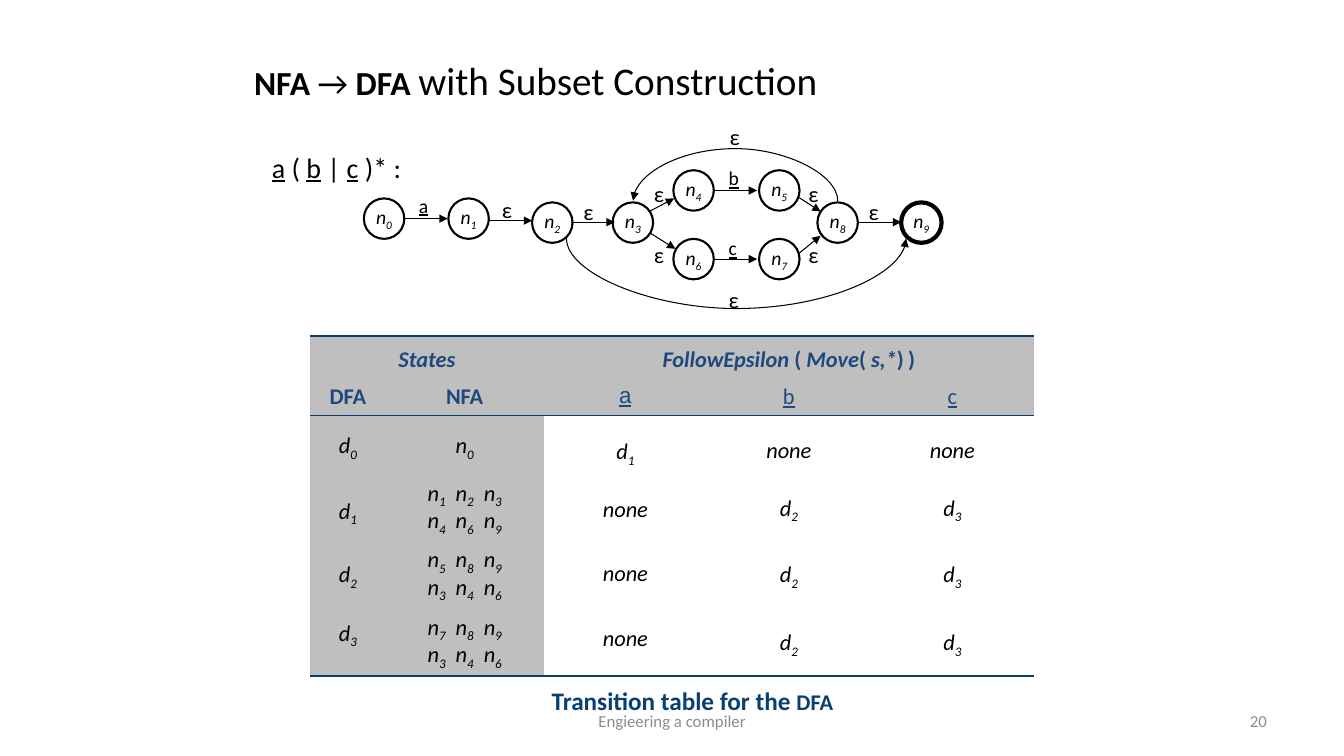
from lxml import etree
from pptx import Presentation
from pptx import util as u
from pptx.dml import color
from pptx.enum import shapes, text
from pptx.oxml import ns

BLACK, NAVY, TEAL = "000000", "1F497D", "074073"
GREY, WHITE, FOOTER_GREY = "BFBFBF", "FFFFFF", "8C8C8C"
LEFT, CENTER, RIGHT = text.PP_ALIGN.LEFT, text.PP_ALIGN.CENTER, text.PP_ALIGN.RIGHT
NO_STYLE = "{2D5ABB26-0587-4C30-8999-92F81FD0307C}"
NODE_SIZE = 1.02
THIN = 0.75

NODES = [
    ("n_0", 9.17, 5.0), ("n_1", 11.3, 5.0), ("n_2", 13.41, 5.1),
    ("n_3", 15.44, 5.1), ("n_4", 16.97, 4.29), ("n_5", 19.13, 4.29),
    ("n_6", 16.97, 6.02), ("n_7", 19.13, 6.02), ("n_8", 20.6, 5.1),
    ("n_9", 22.71, 5.1),
]
EDGES = [
    (10.16, 5.51, 11.28, 5.51), (12.32, 5.56, 13.41, 5.56),
    (14.38, 5.6, 15.49, 5.6), (21.59, 5.6, 22.71, 5.6),
    (17.98, 4.8, 19.08, 4.8), (17.98, 6.53, 19.08, 6.53),
    (16.36, 5.33, 16.99, 5.0), (16.38, 5.87, 17.02, 6.27),
    (20.14, 4.98, 20.68, 5.33), (20.14, 6.38, 20.68, 5.94),
]
EDGE_LABELS = [
    ("a", 10.31, 4.75), ("b", 18.11, 4.06), ("c", 18.11, 5.82),
    ("ε", 12.4, 4.83), ("ε", 14.45, 4.88), ("ε", 21.64, 4.88),
    ("ε", 16.23, 4.42), ("ε", 20.12, 4.42), ("ε", 16.23, 5.94),
    ("ε", 20.12, 5.94), ("ε", 18.11, 7.09), ("ε", 18.14, 2.97),
]
COLUMN_WIDTHS = [1.9, 3.98, 4.12, 4.12, 4.12]
ROW_HEIGHTS = [1.07, 0.84, 1.5, 1.68, 1.7, 1.7]
MOVE_HEADING = [("FollowEpsilon ", "bi"), ("( ", "b"), ("Move", "bi"), ("( ", "b"),
                ("s,*", "bi"), (")", "b"), (" ", "b", 14), (")", "b")]
SUBHEADINGS = [("DFA", "b"), ("NFA", "b"), ("a", "u"), ("b", "u"), ("c", "u")]
TRANSITIONS = [
    [("d_0", 1.4), ("n_0", 1.4), ("d_1", 1.6), ("none", 1.6), ("none", 1.6)],
    [("d_1", 1.6), ("n_1 n_2 n_3\nn_4 n_6 n_9", 0.9), ("none", 1.6), ("d_2", 1.5), ("d_3", 1.5)],
    [("d_2", 1.5), ("n_5 n_8 n_9\nn_3 n_4 n_6", 0.9), ("none", 1.5), ("d_2", 1.5), ("d_3", 1.5)],
    [("d_3", 1.2), ("n_7 n_8 n_9\nn_3 n_4 n_6", 0.9), ("none", 1.4), ("d_2", 1.5), ("d_3", 1.5)],
]


def rgb(hex_code):
    """Turn a hex string into a colour."""
    return color.RGBColor.from_string(hex_code)


def write_runs(paragraph, parts, size, ink=BLACK, align=LEFT, face="Calibri"):
    """Append (wording, b/i/u flags, optional size) runs to a paragraph."""
    paragraph.alignment = align
    for wording, flags, *own_size in parts:
        run = paragraph.add_run()
        run.text = wording
        run.font.name = face
        run.font.size = u.Pt(own_size[0] if own_size else size)
        run.font.color.rgb = rgb(ink)
        run.font.bold = "b" in flags
        run.font.italic = "i" in flags
        run.font.underline = "u" in flags


def write_states(paragraph, states, size):
    """Write italic state names whose index after _ is a subscript."""
    for position, state in enumerate(states.split(" ")):
        if position:
            write_runs(paragraph, [(" ", "i")], size)
            paragraph.runs[-1].font._element.set("spc", "360")
        letter, _, index = state.partition("_")
        write_runs(paragraph, [(letter, "i")], size)
        if index:
            write_runs(paragraph, [(index, "i")], size)
            paragraph.runs[-1].font._element.set("baseline", "-25000")
    paragraph.alignment = CENTER


def add_label(slide, box, parts, size, ink=BLACK, align=LEFT, wrap=True,
              anchor=text.MSO_ANCHOR.TOP):
    """Add a one-paragraph text box."""
    frame = slide.shapes.add_textbox(*map(u.Cm, box)).text_frame
    frame.word_wrap = wrap
    frame.vertical_anchor = anchor
    write_runs(frame.paragraphs[0], parts, size, ink, align)


def add_node(slide, state, left, top, width=1.5):
    """Add one automaton state as a circle."""
    node = slide.shapes.add_shape(shapes.MSO_SHAPE.OVAL, u.Cm(left), u.Cm(top),
                                  u.Cm(NODE_SIZE), u.Cm(NODE_SIZE))
    node.shadow.inherit = False
    node.fill.background()
    node.line.color.rgb = rgb(BLACK)
    node.line.width = u.Pt(width)
    node.text_frame.word_wrap = False
    node.text_frame.vertical_anchor = text.MSO_ANCHOR.MIDDLE
    write_states(node.text_frame.paragraphs[0], state, 14)


def add_arrow(slide, ends, kind=shapes.MSO_CONNECTOR.STRAIGHT):
    """Add a thin black connector with an arrowhead at its end."""
    arrow = slide.shapes.add_connector(kind, *map(u.Cm, ends))
    arrow.line.color.rgb = rgb(BLACK)
    arrow.line.width = u.Pt(THIN)
    properties = arrow.element.spPr
    etree.SubElement(properties.find(ns.qn("a:ln")), ns.qn("a:tailEnd"), type="triangle")
    etree.SubElement(properties, ns.qn("a:effectLst"))
    return arrow


def add_arc(slide, left, right, level, depth, turn):
    """Add a curved arrow between two points at one level."""
    thickness = 0.01
    middle, reach = (left + right) / 2, (right - left) / 2
    arc = add_arrow(slide, (middle, level - reach, middle + thickness, level + reach),
                    shapes.MSO_CONNECTOR.CURVE)
    frame = arc.element.spPr.find(ns.qn("a:xfrm"))
    frame.set("rot", str(turn * 60000))
    frame.set("flipH", "1")
    guides = arc.element.spPr.find(ns.qn("a:prstGeom")).get_or_add_avLst()
    etree.SubElement(guides, ns.qn("a:gd"), name="adj1",
                     fmla=f"val {round(depth / thickness * 100000)}")


def add_rule(cell, side, width):
    """Draw a border on one side of a cell."""
    rule = etree.Element(ns.qn(f"a:{side}"), w=str(u.Pt(width)))
    fill = etree.SubElement(rule, ns.qn("a:solidFill"))
    etree.SubElement(fill, ns.qn("a:srgbClr"), val=TEAL)
    cell._tc.get_or_add_tcPr().insert(0, rule)


def add_transition_table(slide):
    """Add the subset construction table."""
    frame = slide.shapes.add_table(len(ROW_HEIGHTS), len(COLUMN_WIDTHS), u.Cm(7.82), u.Cm(8.46),
                                   u.Cm(sum(COLUMN_WIDTHS)), u.Cm(sum(ROW_HEIGHTS)))
    table = frame.table
    table.first_row = table.horz_banding = False
    table._tbl.tblPr.find(ns.qn("a:tableStyleId")).text = NO_STYLE
    for column, width in zip(table.columns, COLUMN_WIDTHS):
        column.width = u.Cm(width)
    for row, height in zip(table.rows, ROW_HEIGHTS):
        row.height = u.Cm(height)
    rules = {0: ("lnT", 1.5), 1: ("lnB", 1), 5: ("lnB", 1.5)}
    for r, row in enumerate(table.rows):
        for c, cell in enumerate(row.cells):
            cell.fill.solid()
            cell.fill.fore_color.rgb = rgb(GREY if r < 2 or c < 2 else WHITE)
            if r in rules:
                add_rule(cell, *rules[r])
    for first, last, heading in [(0, 1, [("States", "bi")]), (2, 4, MOVE_HEADING)]:
        table.cell(0, first).merge(table.cell(0, last))
        paragraph = table.cell(0, first).text_frame.paragraphs[0]
        paragraph.line_spacing = 1.2
        write_runs(paragraph, heading, 16, NAVY, CENTER)
    for c, subheading in enumerate(SUBHEADINGS):
        face = "Arial" if subheading[0] == "a" else "Calibri"
        write_runs(table.cell(1, c).text_frame.paragraphs[0], [subheading], 16, NAVY, CENTER, face)
    for r, transition in enumerate(TRANSITIONS, 2):
        for c, (states, spacing) in enumerate(transition):
            body = table.cell(r, c).text_frame
            for i, line in enumerate(states.split("\n")):
                paragraph = body.add_paragraph() if i else body.paragraphs[0]
                paragraph.line_spacing = spacing
                write_states(paragraph, line, 16)


def add_title(slide):
    """Place and format the title."""
    title = slide.shapes.title
    title.left, title.top, title.width, title.height = map(u.Cm, (6.15, 1.27, 21.59, 1.47))
    title.text_frame.vertical_anchor = text.MSO_ANCHOR.MIDDLE
    write_runs(title.text_frame.paragraphs[0],
               [("NFA", "b"), (" → ", ""), ("DFA ", "b"), ("with Subset Construction", "", 28)], 24)


def main():
    """Build the slide and save it."""
    deck = Presentation()
    deck.slide_width, deck.slide_height = u.Cm(33.87), u.Cm(19.05)
    slide = deck.slides.add_slide(deck.slide_layouts[5])
    add_title(slide)
    add_label(slide, (6.6, 3.66, 3.84, 1.12),
              [("a", "u"), (" ( ", ""), ("b", "u"), (" | ", ""), ("c", "u"), (" )* :", "")],
              20, wrap=False)
    for state, left, top in NODES:
        add_node(slide, state, left, top, 3 if state == "n_9" else 1.5)
    for ends in EDGES:
        add_arrow(slide, ends)
    add_arc(slide, 15.95, 21.11, 5.06, 1.32, 90)
    add_arc(slide, 14.27, 22.83, 6.01, 1.77, 270)
    for symbol, left, top in EDGE_LABELS:
        flags, size = ("", 16) if symbol == "ε" else ("u", 14)
        add_label(slide, (left, top, 0.66, 0.94), [(symbol, flags)], size)
    add_transition_table(slide)
    add_label(slide, (12.27, 17.15, 10.36, 1.02),
              [("Transition table for the ", "b"), ("DFA", "b", 16)], 18, TEAL, CENTER)
    middle = text.MSO_ANCHOR.MIDDLE
    add_label(slide, (11.58, 17.65, 10.72, 1.02), [("Engieering a compiler", "")], 12,
              FOOTER_GREY, CENTER, anchor=middle)
    add_label(slide, (24.28, 17.65, 7.9, 1.02), [("20", "")], 12,
              FOOTER_GREY, RIGHT, anchor=middle)
    deck.save("out.pptx")


if __name__ == "__main__":
    main()
